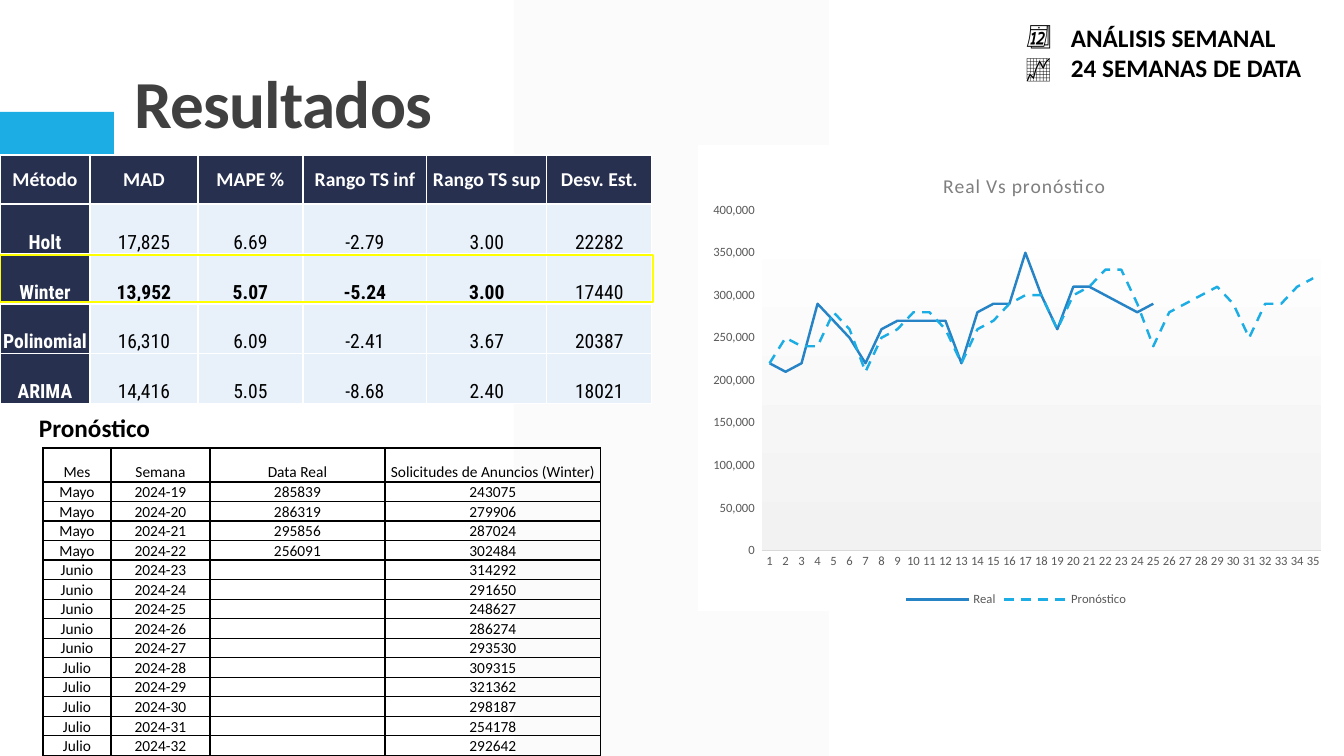
from lxml.etree import SubElement
from pptx import Presentation
from pptx.chart.data import CategoryChartData
from pptx.dml.color import RGBColor
from pptx.enum.chart import XL_CHART_TYPE as ChartType, XL_LEGEND_POSITION as LegendPosition, XL_TICK_MARK as TickMark
from pptx.enum.dml import MSO_LINE_DASH_STYLE as Dash
from pptx.enum.shapes import MSO_SHAPE as Preset
from pptx.enum.text import MSO_ANCHOR as Anchor, MSO_AUTO_SIZE as AutoSize, PP_ALIGN as Align
from pptx.oxml import parse_xml
from pptx.oxml.ns import nsdecls, qn
from pptx.util import Emu, Pt

SCALE = 914400 / 100.8
NAVY, PALE, SKY, BLUE, GREY = "27304E", "E8F1FA", "1CADE4", "2683C6", "595959"
CONDENSED = "Roboto Condensed"

METHODS = [
    ["Método", "MAD", "MAPE %", "Rango TS inf", "Rango TS sup", "Desv. Est."],
    ["Holt", "17,825", "6.69", "-2.79", "3.00", "22282"],
    ["Winter", "13,952", "5.07", "-5.24", "3.00", "17440"],
    ["Polinomial", "16,310", "6.09", "-2.41", "3.67", "20387"],
    ["ARIMA", "14,416", "5.05", "-8.68", "2.40", "18021"],
]
FIRST_WEEK = 19
MONTHS = ["Mayo"] * 4 + ["Junio"] * 5 + ["Julio"] * 5
ACTUAL = ["285839", "286319", "295856", "256091"] + [""] * 10
FORECAST = ["243075", "279906", "287024", "302484", "314292", "291650", "248627",
            "286274", "293530", "309315", "321362", "298187", "254178", "292642"]
REAL_TENS = [22, 21, 22, 29, 27, 25, 22, 26, 27, 27, 27, 27, 22, 28, 29, 29, 35, 30,
             26, 31, 31, 30, 29, 28, 29]
FORECAST_TENS = [22, 25, 24, 24, 28, 26, 21, 25, 26, 28, 28, 26, 22, 26, 27, 29, 30, 30,
                 26, 30, 31, 33, 33, 29, 24, 28, 29, 30, 31, 29, 25, 29, 29, 31, 32]


def px(length):
    return Emu(round(length * SCALE))


def hue(code):
    return RGBColor.from_string(code)


def style(font, size, color, bold=False, name="Calibri"):
    font.size, font.bold, font.name = Pt(size), bold, name
    font.color.rgb = hue(color)


def write(frame, text, size=18, color="000000", bold=False, name="Calibri", align=None, spacing=None):
    para = frame.paragraphs[0]
    para.alignment = align
    if not text:
        SubElement(para._p, qn("a:endParaRPr"), sz=str(size * 100))
        return para
    span = para.add_run()
    span.text = text
    style(span.font, size, color, bold, name)
    if spacing is not None:
        span.font._element.set("spc", str(spacing))
    return para


def add_label(page, text, left, top, width, **format):
    box = page.shapes.add_textbox(px(left), px(top), px(width), px(40))
    box.text_frame.word_wrap = False
    box.text_frame.auto_size = AutoSize.SHAPE_TO_FIT_TEXT
    write(box.text_frame, text, **format)


def add_block(page, preset, left, top, width, height, fill=None, line=None):
    block = page.shapes.add_shape(preset, px(left), px(top), px(width), px(height))
    block.shadow.inherit = False
    if fill:
        block.fill.solid()
        block.fill.fore_color.rgb = hue(fill)
    else:
        block.fill.background()
    if line:
        block.line.color.rgb = hue(line)
        block.line.width = Pt(1.25)
    else:
        block.line.fill.background()
    return block


def border_cell(cell, color):
    props = cell._tc.get_or_add_tcPr()
    for side in ("lnL", "lnR", "lnT", "lnB"):
        props.append(parse_xml(
            f'<a:{side} {nsdecls("a")} w="12700"><a:solidFill><a:srgbClr val="{color}"/>'
            f'</a:solidFill></a:{side}>'))


def add_grid(page, left, top, widths, heights, rows, border, look):
    frame = page.shapes.add_table(len(rows), len(widths), px(left), px(top), px(sum(widths)), px(sum(heights)))
    table = frame.table
    table.first_row = table.horz_banding = False
    for column, width in zip(table.columns, widths):
        column.width = px(width)
    for row, height in zip(table.rows, heights):
        row.height = px(height)
    for r, values in enumerate(rows):
        for c, text in enumerate(values):
            cell = table.cell(r, c)
            fill, anchor, format = look(r, c)
            cell.margin_left = cell.margin_right = cell.margin_top = px(1)
            cell.margin_bottom = 0
            cell.vertical_anchor = anchor
            border_cell(cell, border)
            if fill:
                cell.fill.solid()
                cell.fill.fore_color.rgb = hue(fill)
            else:
                cell.fill.background()
            write(cell.text_frame, text, align=Align.CENTER, **format)


def method_look(r, c):
    heading = r == 0 or c == 0
    winner = METHODS[r][0] == "Winter" and c < 5
    return (NAVY if heading else PALE, Anchor.BOTTOM if r else Anchor.MIDDLE,
            dict(size=14, color="FFFFFF" if heading else "000000", bold=heading or winner,
                 name=CONDENSED if r else "Calibri"))


def forecast_look(r, c):
    return None, Anchor.BOTTOM, dict(size=11)


def place(parent, after, **fractions):
    target = '<c:layoutTarget val="inner"/>' if "w" in fractions else ""
    modes = "".join(f'<c:{key}Mode val="edge"/>' for key in "xy")
    values = "".join(f'<c:{key} val="{value}"/>' for key, value in fractions.items())
    for layout in parent.findall(qn("c:layout")):
        parent.remove(layout)
    layout = parse_xml(f'<c:layout {nsdecls("c")}><c:manualLayout>{target}{modes}{values}'
                       '</c:manualLayout></c:layout>')
    if after is None:
        parent.insert(0, layout)
    else:
        after.addnext(layout)


def chart_fill(fill):
    return parse_xml(f'<c:spPr {nsdecls("c", "a")}>{fill}<a:ln><a:noFill/></a:ln></c:spPr>')


def add_line_chart(page, left, top, width, height):
    data = CategoryChartData()
    data.categories = [str(week) for week in range(1, len(FORECAST_TENS) + 1)]
    for name, tens in (("Real", REAL_TENS), ("Pronóstico", FORECAST_TENS)):
        data.add_series(name, [value * 10000 for value in tens])
    chart = page.shapes.add_chart(ChartType.LINE, px(left), px(top), px(width), px(height), data).chart
    style(chart.font, 10, "000000")
    write(chart.chart_title.text_frame, "Real Vs pronóstico", size=14, color="7F7F7F", spacing=50)
    chart.has_legend = True
    chart.legend.position = LegendPosition.BOTTOM
    chart.legend.include_in_layout = False
    style(chart.legend.font, 9, GREY)
    weeks, amounts = chart.category_axis, chart.value_axis
    for axis in (weeks, amounts):
        axis.major_tick_mark = axis.minor_tick_mark = TickMark.NONE
        axis.has_major_gridlines = False
        style(axis.tick_labels.font, 9, GREY)
    weeks.format.line.color.rgb = hue("D9D9D9")
    weeks.format.line.width = Pt(0.75)
    amounts.format.line.fill.background()
    amounts.minimum_scale, amounts.maximum_scale, amounts.major_unit = 0, 400000, 50000
    amounts.tick_labels.number_format = r"#,##0_);\(#,##0\)"
    amounts.tick_labels.number_format_is_linked = False
    for series, color, dash in zip(chart.plots[0].series, (BLUE, SKY), (None, Dash.DASH)):
        series.smooth = False
        series.format.line.color.rgb = hue(color)
        series.format.line.width = Pt(1.75)
        series.format.line.dash_style = dash
    body = chart._chartSpace.find(qn("c:chart"))
    plot, title = body.find(qn("c:plotArea")), body.find(qn("c:title"))
    place(plot, None, x=0.1, y=0.14, w=0.88, h=0.73)
    place(title, title.find(qn("c:tx")), x=0.38, y=0.05)
    body.addnext(chart_fill('<a:solidFill><a:srgbClr val="FFFFFF"/></a:solidFill>'))
    plot.append(chart_fill(
        '<a:gradFill><a:gsLst><a:gs pos="0"><a:srgbClr val="FFFFFF"/></a:gs><a:gs pos="100000">'
        '<a:srgbClr val="F2F2F2"/></a:gs></a:gsLst><a:lin ang="5400000" scaled="0"/></a:gradFill>'))


def add_title(page, text):
    title = page.shapes.title
    title.left, title.top, title.width, title.height = px(124), px(-12), px(1109), px(160)
    title.text_frame.vertical_anchor = Anchor.BOTTOM
    para = write(title.text_frame, text, size=48, color="404040", bold=True, align=Align.LEFT, spacing=-50)
    para.line_spacing = 0.9


def main():
    deck = Presentation()
    deck.slide_width, deck.slide_height = px(1344), px(756)
    page = deck.slides.add_slide(deck.slide_layouts[5])
    band = add_block(page, Preset.PARALLELOGRAM, 514, 0, 315, 756, fill="F2F2F2")
    band.adjustments[0] = 0
    SubElement(band.element.spPr.find(qn("a:solidFill"))[0], qn("a:alpha"), val="30000")
    add_block(page, Preset.RECTANGLE, 0, 112, 114, 76, fill=SKY)
    add_title(page, "Resultados")
    add_label(page, "📈", 1016, 47, 55)
    add_label(page, "📆", 1016, 14, 55)
    add_label(page, "Pronóstico", 29, 407, 132, bold=True)
    add_grid(page, 0, 155, [90, 108, 105, 124, 120, 105], [49] + [50] * 4, METHODS, "FFFFFF", method_look)
    add_block(page, Preset.RECTANGLE, 0, 255, 653, 47, line="FFFF00")
    add_label(page, "24 SEMANAS DE DATA", 1061, 47, 253, bold=True)
    add_label(page, "ANÁLISIS SEMANAL", 1061, 17, 227, bold=True)
    add_line_chart(page, 698, 145, 636, 466)
    weeks = [f"2024-{FIRST_WEEK + index}" for index in range(len(MONTHS))]
    rows = [["Mes", "Semana", "Data Real", "Solicitudes de Anuncios (Winter)"]]
    rows += zip(MONTHS, weeks, ACTUAL, FORECAST)
    add_grid(page, 43, 448, [68, 99, 175, 216], [34] + [19] * 14, rows, "000000", forecast_look)
    deck.save("out.pptx")


if __name__ == "__main__":
    main()
